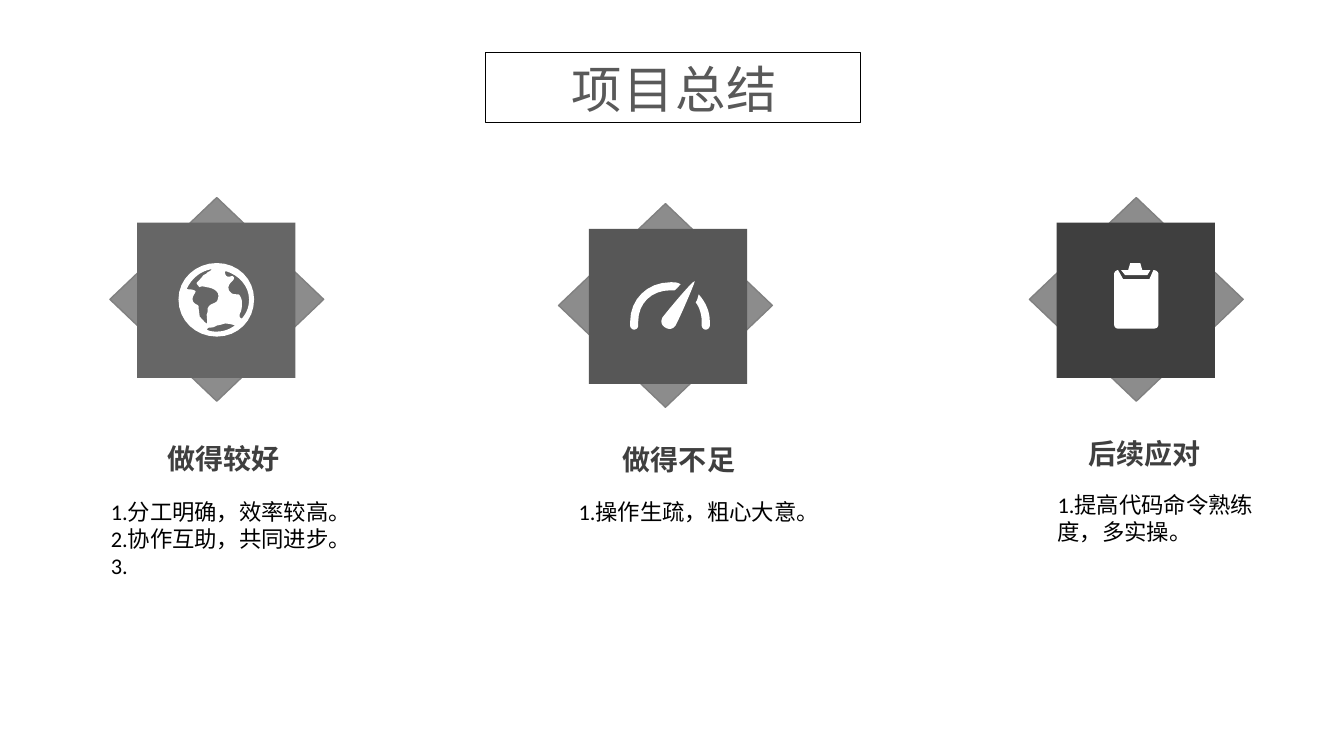
import pptx
import pptx.util
import pptx.dml.color
import pptx.enum.shapes
import pptx.enum.text
import pptx.oxml.ns
import lxml.etree
import dataclasses

PX = 9144  # one px is a hundredth of an inch
KIND = pptx.enum.shapes.MSO_SHAPE
MID = pptx.enum.text.PP_ALIGN.CENTER
LEFT = pptx.enum.text.PP_ALIGN.LEFT


@dataclasses.dataclass(frozen=True)
class Theme:
    latin: str = "Calibri"
    hanzi: str = "Noto Sans CJK SC"
    title: str = "595959"
    head: str = "3F3F3F"
    ink: str = "000000"
    gem: str = "8C8C8C"
    edge: str = "808080"
    icon: str = "FFFFFF"
    big: int = 36
    mid: int = 20
    small: int = 16


THEME = Theme()

# Icon outlines: two numbers draw a line, six draw a Bezier curve
GLOBE = [
    [(38, 0), (17, 0, 0, 16, 0, 36), (0, 57, 17, 73, 38, 73),
     (59, 73, 75, 57, 75, 36), (75, 16, 59, 0, 38, 0)],
    [(70, 36), (70, 45, 67, 50, 63, 55), (61, 55, 60, 53, 61, 50),
     (63, 47, 63, 42, 63, 39), (63, 36, 61, 31, 59, 31),
     (54, 31, 53, 31, 50, 27), (47, 19, 59, 17, 54, 13),
     (53, 12, 47, 17, 46, 9), (47, 8), (60, 12, 70, 23, 70, 36)],
    [(33, 6), (32, 8, 31, 8, 29, 9), (27, 12, 25, 11, 24, 13),
     (22, 16, 18, 19, 18, 20), (18, 21, 21, 24, 21, 24),
     (22, 23, 25, 23, 28, 24), (29, 24, 43, 26, 39, 36),
     (38, 41, 31, 39, 29, 45), (29, 46, 29, 50, 28, 51),
     (28, 53, 29, 60, 28, 60), (27, 60, 21, 53, 21, 53),
     (21, 51, 20, 47, 20, 43), (20, 41, 14, 41, 14, 36),
     (14, 32, 17, 30, 17, 28), (15, 26, 10, 26, 8, 26),
     (13, 15, 22, 8, 33, 6)],
    [(28, 66), (29, 65, 29, 64, 32, 64), (33, 64, 35, 64, 38, 62),
     (39, 62, 43, 61, 46, 60), (49, 60, 54, 61, 56, 62),
     (50, 66, 45, 68, 38, 68), (35, 68, 31, 68, 28, 66)],
]
GAUGE = [
    [(32, 37), (30, 41, 31, 45, 35, 47), (38, 49, 42, 49, 45, 45),
     (48, 40, 65, 1, 64, 1), (62, 0, 35, 33, 32, 37)],
    [(40, 10), (41, 10, 42, 10, 44, 10), (47, 8, 48, 6, 50, 4),
     (47, 2, 44, 2, 40, 2), (17, 2, 0, 19, 0, 41), (0, 45),
     (0, 47, 2, 49, 4, 49), (7, 49, 8, 46, 8, 45), (8, 41),
     (8, 23, 21, 10, 40, 10)],
    [(68, 14), (67, 17, 67, 19, 65, 22), (69, 27, 71, 35, 71, 41), (71, 45),
     (71, 46, 72, 49, 75, 49), (77, 49, 79, 47, 79, 45), (79, 41),
     (79, 31, 75, 22, 68, 14)],
]
BOARD = [
    [(39, 7), (35, 16), (9, 16), (4, 7), (2, 7, 0, 9, 0, 11), (0, 60),
     (0, 64, 2, 65, 4, 65), (39, 65), (42, 65, 44, 64, 44, 60), (44, 11),
     (44, 9, 42, 7, 39, 7)],
    [(33, 12), (36, 7), (28, 7), (26, 0), (16, 0), (14, 7), (7, 7), (11, 12)],
]


def paint(shape, fill=None, edge=None, width=1):
    """Fill and outline a shape, without a shadow."""
    shape.shadow.inherit = False
    for part, hue in ((shape.fill, fill), (shape.line.fill, edge)):
        if hue:
            part.solid()
            part.fore_color.rgb = pptx.dml.color.RGBColor.from_string(hue)
        else:
            part.background()
    if edge:
        shape.line.width = pptx.util.Pt(width)


def block(slide, kind, box, **look):
    shape = slide.shapes.add_shape(kind, *(n * PX for n in box))
    paint(shape, **look)
    return shape


def write(slide, box, lines, size, hue, face, align=LEFT, bold=False,
          lead=None, track=0):
    """Place a text box with one paragraph per line."""
    frame = slide.shapes.add_textbox(*(n * PX for n in box)).text_frame
    frame.word_wrap = True
    frame.auto_size = pptx.enum.text.MSO_AUTO_SIZE.SHAPE_TO_FIT_TEXT
    frame.text = "\n".join(lines)
    for para in frame.paragraphs:
        para.alignment = align
        if lead:
            para.line_spacing = lead
        font = para.font
        font.size = pptx.util.Pt(size)
        font.bold = bold
        font.color.rgb = pptx.dml.color.RGBColor.from_string(hue)
        font.name = face
        # East Asian face and letter spacing
        props = para._p.pPr.find(pptx.oxml.ns.qn("a:defRPr"))
        props.set("spc", str(track))
        asian = lxml.etree.Element(pptx.oxml.ns.qn("a:ea"), typeface=THEME.hanzi)
        props.find(pptx.oxml.ns.qn("a:latin")).addnext(asian)


def trace(ring, steps=8):
    """Turn an outline of lines and curves into points."""
    dots = [ring[0]]
    for part in ring[1:]:
        if len(part) == 2:
            dots.append(part)
            continue
        start = dots[-1]
        for step in range(1, steps + 1):
            t = step / steps
            u = 1 - t
            dots.append(tuple(
                u ** 3 * start[i] + 3 * u * u * t * part[i]
                + 3 * u * t * t * part[i + 2] + t ** 3 * part[i + 4]
                for i in (0, 1)))
    return [(x * PX, y * PX) for x, y in dots]


def draw(slide, rings, left, top):
    """Draw an icon as one freeform."""
    first, *rest = [trace(ring) for ring in rings]
    pen = slide.shapes.build_freeform(*first[0])
    pen.add_line_segments(first[1:])
    for dots in rest:
        pen.move_to(*dots[0])
        pen.add_line_segments(dots[1:])
    paint(pen.convert_to_shape(left * PX, top * PX), fill=THEME.icon)


def banner(slide, box, label):
    """Framed slide title."""
    left, top, wide, high = box
    write(slide, (left, top + 8, wide + 4, high + 4), [label], THEME.big,
          THEME.title, THEME.hanzi, MID, lead=0.9, track=100)
    frame = block(slide, KIND.ROUNDED_RECTANGLE, box, edge=THEME.ink, width=0.25)
    frame.adjustments[0] = 0


def badge(slide, box, inset, fill, icon, shift):
    """Diamond with a square and an icon on top."""
    left, top, wide, high = box
    block(slide, KIND.DIAMOND, box, fill=THEME.gem, edge=THEME.edge)
    left, top = left + inset, top + 25
    block(slide, KIND.RECTANGLE, (left, top, 157, 154), fill=fill)
    draw(slide, icon, left + shift[0], top + shift[1])


def column(slide, box, gem, head, body):
    """Badge, heading and notes; head and body are offsets from the box."""
    left, top, wide, high = box
    badge(slide, (left, top, wide, high), *gem)
    x, y, w, label = head
    write(slide, (left + x, top + y, w, 44), [label], THEME.mid, THEME.head,
          THEME.hanzi, MID, bold=True)
    x, y, w, lines = body
    write(slide, (left + x, top + y, w, 10 + 27 * len(lines)), lines,
          THEME.small, THEME.ink, THEME.latin)


def main():
    deck = pptx.Presentation()
    deck.slide_width, deck.slide_height = 1333 * PX, 750 * PX
    slide = deck.slides.add_slide(deck.slide_layouts[6])

    banner(slide, (481, 52, 372, 69), "项目总结")
    column(slide, (109, 196, 212, 202), (27, "666666", GLOBE, (41, 40)),
           (-23, 237, 271, "做得较好"),
           (-9, 293, 271, ["1.分工明确，效率较高。", "2.协作互助，共同进步。", "3."]))
    column(slide, (554, 202, 212, 202), (30, "575757", GAUGE, (41, 51)),
           (-22, 232, 283, "做得不足"),
           (10, 287, 252, ["1.操作生疏，粗心大意。"]))
    column(slide, (1021, 196, 212, 202), (27, "3F3F3F", BOARD, (57, 40)),
           (-27, 232, 283, "后续应对"),
           (18, 286, 221, ["1.提高代码命令熟练度，多实操。"]))

    deck.save("out.pptx")


if __name__ == "__main__":
    main()
